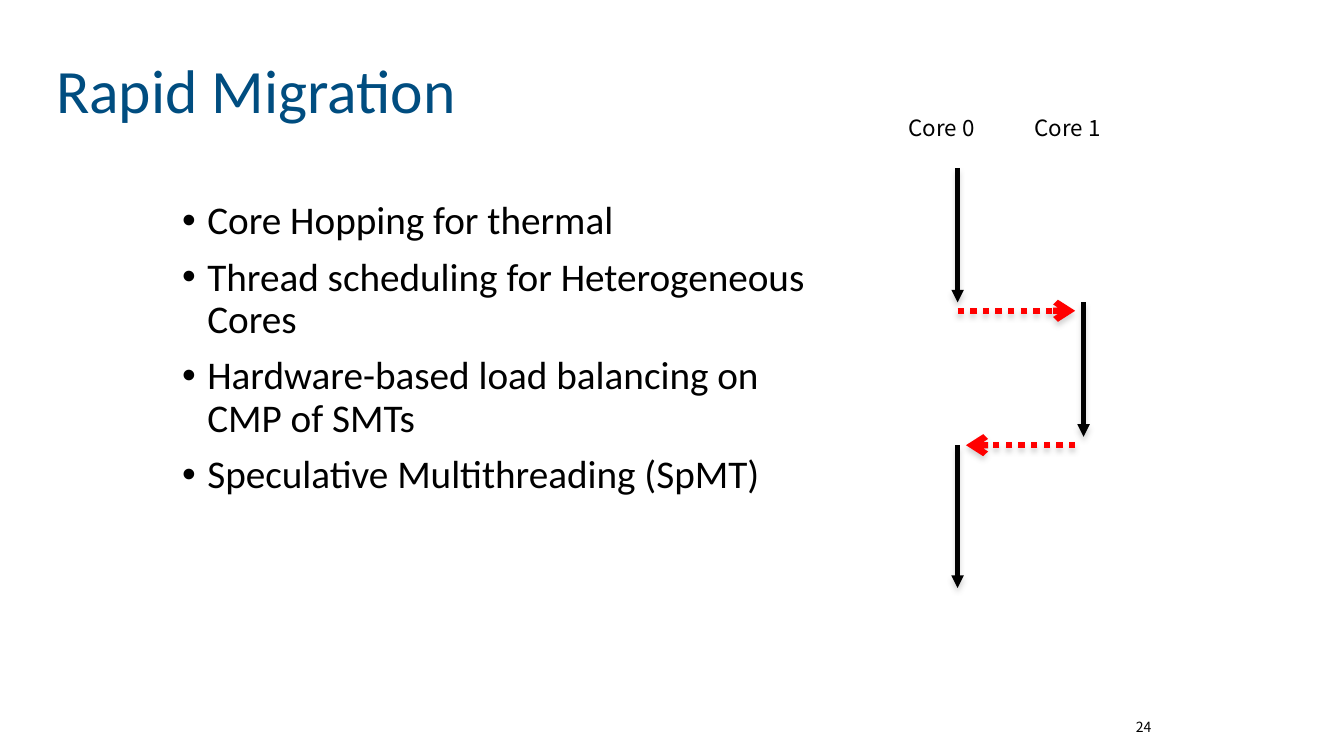
from lxml import etree
from pptx import Presentation
from pptx.dml.color import RGBColor
from pptx.enum import dml, shapes, text
from pptx.oxml import ns
from pptx.util import Pt

BLACK = RGBColor(0x00, 0x00, 0x00)
RED = RGBColor(0xFF, 0x00, 0x00)
TITLE_BLUE = RGBColor(0x00, 0x4D, 0x80)
SHADOW_GRAY = RGBColor(0x80, 0x80, 0x80)

BODY_FONT = "Calibri"
LABEL_FONT = "Noto Sans CJK KR"

CORE_X = (684, 774)
GAP = 6
SWITCH_Y = (222, 318)
TOPICS = (
    "Core Hopping for thermal",
    "Thread scheduling for Heterogeneous Cores",
    "Hardware-based load balancing on CMP of SMTs",
    "Speculative Multithreading (SpMT)",
)


def add_child(parent, tag, **attributes):
    child = etree.SubElement(parent, ns.qn(tag))
    for name, value in attributes.items():
        child.set(name, str(value))
    return child


def add_text(slide, box, lines, size, font, color,
             anchor=text.MSO_ANCHOR.TOP, align=text.PP_ALIGN.LEFT):
    """Add a wrapped text box with one paragraph per line; return its paragraphs."""
    frame = slide.shapes.add_textbox(*map(Pt, box)).text_frame
    frame.word_wrap = True
    frame.vertical_anchor = anchor
    frame.text = "\n".join(lines)
    for paragraph in frame.paragraphs:
        paragraph.alignment = align
        paragraph.font.size = Pt(size)
        for run in paragraph.runs:
            run.font.size = Pt(size)
            run.font.name = font
            run.font.color.rgb = color
    return frame.paragraphs


def add_bullet(paragraph):
    properties = paragraph._p.get_or_add_pPr()
    properties.set("marL", str(Pt(18)))
    properties.set("indent", str(Pt(-18)))
    add_child(properties, "a:buFont", typeface="Arial")
    add_child(properties, "a:buChar", char="•")


def add_soft_shadow(connector):
    effects = add_child(connector._element.spPr, "a:effectLst")
    shadow = add_child(effects, "a:outerShdw", blurRad=Pt(4), dist=Pt(3),
                       dir=90 * 60000, rotWithShape=0)
    color = add_child(shadow, "a:srgbClr", val=SHADOW_GRAY)
    add_child(color, "a:alpha", val=35000)


def add_arrow(slide, start, end, color, width, head, dash=None):
    arrow = slide.shapes.add_connector(
        shapes.MSO_CONNECTOR.STRAIGHT, *map(Pt, start + end))
    arrow.line.color.rgb = color
    arrow.line.width = Pt(width)
    if dash is not None:
        arrow.line.dash_style = dash
    add_child(arrow.line._get_or_add_ln(), "a:tailEnd", type=head)
    add_soft_shadow(arrow)


def add_execution(slide, core, top, bottom):
    """Draw the time a thread spends running on one core."""
    x = CORE_X[core]
    add_arrow(slide, (x, top), (x, bottom), BLACK, 3, "triangle")


def add_migration(slide, start_x, end_x, y):
    """Draw a thread's move from one core to the other."""
    add_arrow(slide, (start_x, y), (end_x, y), RED, 4.5, "arrow",
              dml.MSO_LINE.ROUND_DOT)


def main():
    deck = Presentation()
    deck.slide_width, deck.slide_height = Pt(960), Pt(540)
    slide = deck.slides.add_slide(deck.slide_layouts[6])

    topics = add_text(slide, (123, 140, 480, 356), TOPICS, 28, BODY_FONT, BLACK)
    for topic in topics:
        topic.line_spacing = 0.9
        topic.space_before = Pt(10)
        add_bullet(topic)

    title = add_text(slide, (33, 14.5, 909.5, 104.5), ["Rapid Migration"], 44,
                     BODY_FONT, TITLE_BLUE, text.MSO_ANCHOR.MIDDLE)
    title[0].line_spacing = 0.9
    add_text(slide, (800.5, 504.5, 29, 29), ["24"], 10, LABEL_FONT, BLACK,
             text.MSO_ANCHOR.MIDDLE, text.PP_ALIGN.RIGHT)

    first_switch, second_switch = SWITCH_Y
    add_execution(slide, 0, 120, first_switch - GAP)
    add_execution(slide, 1, first_switch - GAP, second_switch - GAP)
    add_execution(slide, 0, second_switch, 420)

    left, right = CORE_X
    add_migration(slide, left, right - GAP, first_switch)
    add_migration(slide, right - GAP, left + GAP, second_switch)

    for core, x in enumerate(CORE_X):
        add_text(slide, (x - 42, 78, 66, 26.5), [f"Core {core}"], 16,
                 LABEL_FONT, BLACK)

    deck.save("out.pptx")


if __name__ == "__main__":
    main()
